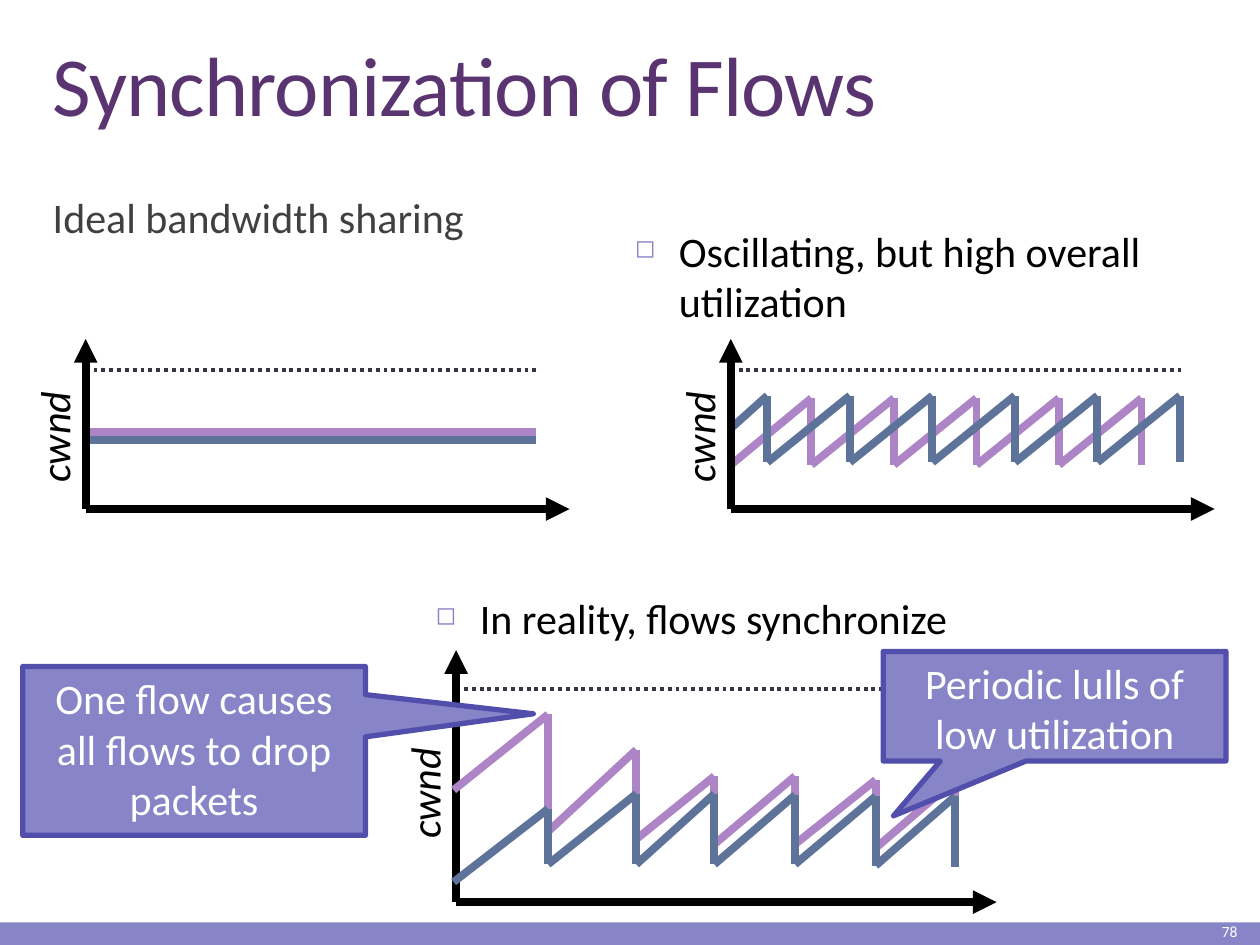
from lxml.etree import SubElement
from pptx import Presentation
from pptx.dml.color import RGBColor
from pptx.enum.dml import MSO_LINE
from pptx.enum.shapes import MSO_CONNECTOR, MSO_SHAPE
from pptx.enum.text import MSO_ANCHOR, PP_ALIGN
from pptx.oxml.ns import qn
from pptx.util import Inches, Pt

COLORS = {
    "title": "5A3471", "body": "404040", "black": "000000", "white": "FFFFFF",
    "band": "8784C7", "callout_line": "524EAB", "ceiling": "373545",
    "purple": "AD84C6", "blue": "5D739A",
}
FONT = "Calibri"


def rgb(name):
    return RGBColor.from_string(COLORS[name])


def write(shape, text, size, color, align=PP_ALIGN.LEFT, anchor=MSO_ANCHOR.TOP):
    """Set one styled paragraph in the shape and return it."""
    frame = shape.text_frame
    frame.word_wrap = True
    frame.vertical_anchor = anchor
    frame.text = text
    paragraph = frame.paragraphs[0]
    paragraph.alignment = align
    font = paragraph.runs[0].font
    font.name, font.size = FONT, Pt(size)
    font.color.rgb = rgb(color)
    return paragraph


def add_text(slide, box, text, size, color, **layout):
    shape = slide.shapes.add_textbox(*map(Inches, box))
    return shape, write(shape, text, size, color, **layout)


def add_filled(slide, kind, box, line=None):
    shape = slide.shapes.add_shape(kind, *map(Inches, box))
    shape.shadow.inherit = False
    shape.fill.solid()
    shape.fill.fore_color.rgb = rgb("band")
    if line:
        shape.line.color.rgb = rgb(line)
        shape.line.width = Pt(3)
    else:
        shape.line.fill.background()
    return shape


def add_line(slide, start, end, color, width=4.5, dash=None, arrow=False):
    line = slide.shapes.add_connector(
        MSO_CONNECTOR.STRAIGHT, *map(Inches, (*start, *end)))
    line.line.color.rgb = rgb(color)
    line.line.width = Pt(width)
    if dash:
        line.line.dash_style = dash
    properties = line._element.spPr
    if arrow:
        SubElement(properties.find(qn("a:ln")), qn("a:tailEnd"), type="triangle")
    SubElement(properties, qn("a:effectLst"))


def add_title(slide, box):
    _, paragraph = add_text(slide, box, "Synchronization of Flows", 48, "title",
                            anchor=MSO_ANCHOR.BOTTOM)
    paragraph.line_spacing = 0.85
    paragraph.runs[0]._r.get_or_add_rPr().set("spc", "-50")


def add_body(slide, box, text):
    _, paragraph = add_text(slide, box, text, 24, "body")
    paragraph.line_spacing = 0.9


def add_footer(slide, box, number):
    left, top, width, height = box
    add_filled(slide, MSO_SHAPE.RECTANGLE, box)
    add_text(slide, (left + width - 1.16, top - 0.04, 1.08, height + 0.04), number,
             8.9, "white", align=PP_ALIGN.RIGHT, anchor=MSO_ANCHOR.MIDDLE)


def add_bullet(slide, box, text):
    _, paragraph = add_text(slide, box, text, 24, "black")
    properties = paragraph._p.get_or_add_pPr()
    properties.set("marL", str(Inches(0.35)))
    properties.set("indent", str(Inches(-0.35)))
    color = SubElement(properties, qn("a:buClr"))
    SubElement(color, qn("a:srgbClr"), val=COLORS["band"])
    SubElement(properties, qn("a:buSzPct"), val="60000")
    SubElement(properties, qn("a:buChar"), char="◻")


def add_callout(slide, box, text, tip):
    """Draw a callout; tip is its offset from the centre as a share of the size."""
    shape = add_filled(slide, MSO_SHAPE.RECTANGULAR_CALLOUT, box, "callout_line")
    shape.adjustments[0], shape.adjustments[1] = tip
    write(shape, text, 24, "white", align=PP_ALIGN.CENTER)


def add_axis_label(slide, center, text):
    width, height = 0.99, 0.51
    box = (center[0] - width / 2, center[1] - height / 2, width, height)
    shape, paragraph = add_text(slide, box, text, 24, "black")
    shape.text_frame.word_wrap = False
    shape.rotation = 270
    paragraph.runs[0].font.italic = True


def sawtooth(start, teeth):
    """Corner points of a saw whose teeth are (x, peak, trough)."""
    points = [start]
    for x, peak, trough in teeth:
        points += [(x, peak), (x, trough)]
    return points


def even_teeth(first, count, peak, trough, period=0.655):
    return [(first + i * period, peak, trough) for i in range(count)]


def add_plot(slide, box, ceiling, series, axis_on_top=True):
    """Draw a cwnd plot; ceiling is (y, length), series maps colour to points."""
    left, top, width, height = box
    bottom = top + height

    def add_y_axis():
        add_line(slide, (left, bottom), (left, top), "black", arrow=True)

    add_axis_label(slide, (left - 0.25, top + 0.55 * height), "cwnd")
    add_line(slide, (left, bottom), (left + width, bottom), "black", arrow=True)
    ceiling_y, length = ceiling
    add_line(slide, (left, top + ceiling_y), (left + length, top + ceiling_y),
             "ceiling", 2.25, MSO_LINE.ROUND_DOT)
    if not axis_on_top:
        add_y_axis()
    for color, points in series.items():
        corners = [(left + x, top + y) for x, y in points]
        for start, end in zip(corners, corners[1:]):
            add_line(slide, start, end, color)
    if axis_on_top:
        add_y_axis()


def main():
    presentation = Presentation()
    presentation.slide_width, presentation.slide_height = Inches(10), Inches(7.5)
    slide = presentation.slides.add_slide(presentation.slide_layouts[6])

    add_footer(slide, (0, 7.32, 10, 0.18), "78")
    add_title(slide, (0.32, 0.31, 9.48, 0.8))
    add_body(slide, (0.32, 1.52, 9.48, 5.24), "Ideal bandwidth sharing")

    ideal = {"purple": [(0, 0.74), (3.57, 0.74)], "blue": [(0, 0.8), (3.57, 0.8)]}
    oscillating = {
        "purple": sawtooth((0, 1), even_teeth(0.64, 5, 0.47, 1)),
        "blue": sawtooth((0, 0.71), even_teeth(0.29, 6, 0.45, 0.98)),
    }
    synchronized = {
        "purple": sawtooth((-0.02, 1.11), [
            (0.73, 0.51, 1.44), (1.43, 0.79, 1.5), (2.05, 1, 1.54),
            (2.69, 1, 1.54), (3.33, 1.03, 1.57), (3.96, 1.03, 1.56)]),
        "blue": sawtooth((-0.02, 1.84), [
            (0.73, 1.26, 1.7), (1.43, 1.14, 1.7), (2.05, 1.14, 1.7),
            (2.69, 1.15, 1.7), (3.33, 1.16, 1.71), (3.96, 1.16, 1.72)]),
    }
    add_plot(slide, (0.68, 2.69, 3.84, 1.35), (0.25, 3.57), ideal)
    add_plot(slide, (5.8, 2.69, 3.84, 1.35), (0.25, 3.57), oscillating)
    add_plot(slide, (3.62, 5.16, 4.29, 2), (0.31, 4.29), synchronized,
             axis_on_top=False)

    add_bullet(slide, (4.94, 1.74, 4.91, 1.01),
               "Oscillating, but high overall utilization")
    add_bullet(slide, (3.36, 4.65, 4.91, 0.51), "In reality, flows synchronize")
    add_callout(slide, (0.18, 5.29, 2.72, 1.34),
                "One flow causes all flows to drop packets", (0.99, -0.22))
    add_callout(slide, (7.01, 5.17, 2.72, 0.87),
                "Periodic lulls of low utilization", (-0.47, 1))

    presentation.save("out.pptx")


if __name__ == "__main__":
    main()
